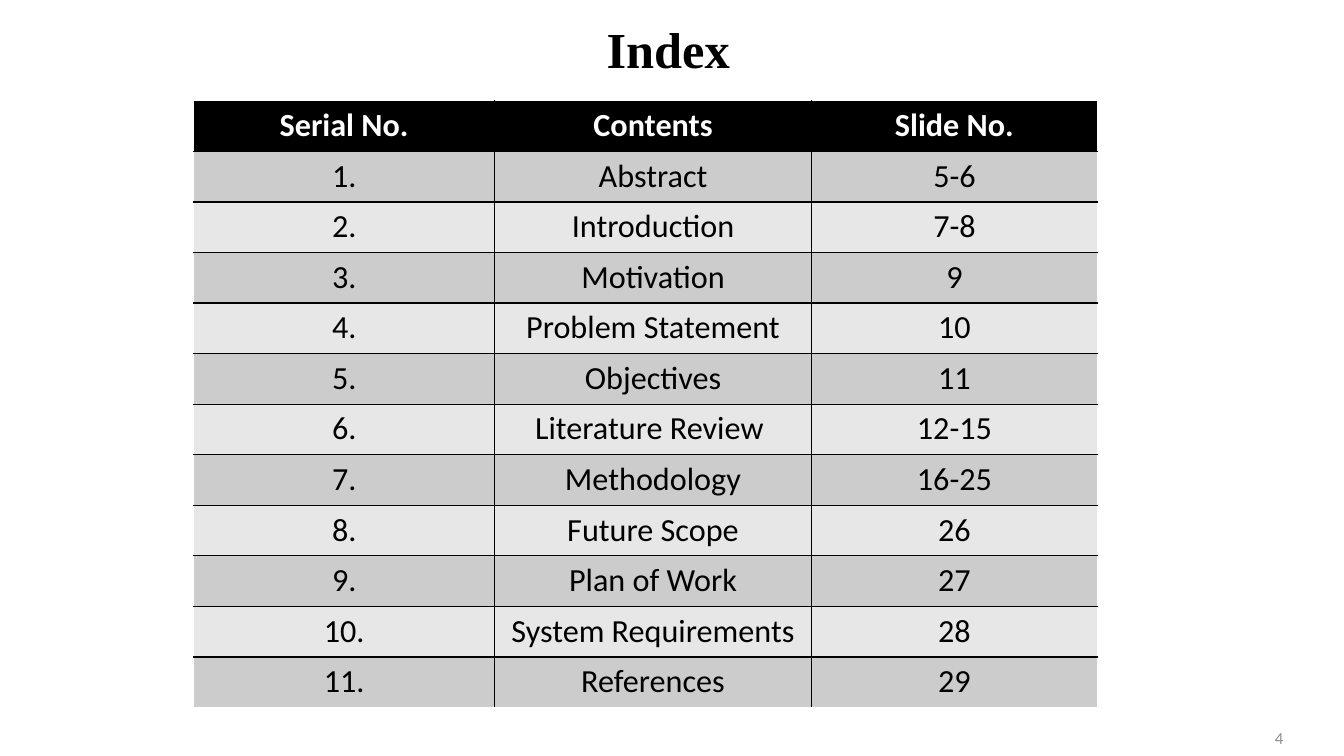
from dataclasses import dataclass

from lxml.etree import SubElement
from pptx import Presentation
from pptx.dml.color import RGBColor
from pptx.enum.text import MSO_ANCHOR, PP_ALIGN
from pptx.oxml.ns import qn
from pptx.util import Cm, Pt


@dataclass(frozen=True)
class Theme:
    black: str = "000000"
    white: str = "FFFFFF"
    grey: str = "8C8C8C"
    bands: tuple = ("CCCCCC", "E7E7E7")
    title_font: str = "Times New Roman"
    body_font: str = "Calibri"
    title_size: int = 36
    table_size: int = 23
    number_size: int = 12
    border: int = 1


THEME = Theme()
COLUMN_WIDTHS = (7.59, 7.98, 7.21)
HEADINGS = ("Serial No.", "Contents", "Slide No.")
ENTRIES = (
    ("Abstract", "5-6"),
    ("Introduction", "7-8"),
    ("Motivation", "9"),
    ("Problem Statement", "10"),
    ("Objectives", "11"),
    ("Literature Review ", "12-15"),
    ("Methodology", "16-25"),
    ("Future Scope", "26"),
    ("Plan of Work", "27"),
    ("System Requirements", "28"),
    ("References", "29"),
)


def write(frame, text, font, size, color, align, bold=False):
    para = frame.paragraphs[0]
    para.alignment = align
    span = para.add_run()
    span.text = text
    span.font.name = font
    span.font.size = Pt(size)
    span.font.bold = bold
    span.font.color.rgb = RGBColor.from_string(color)


def add_borders(cell, colors):
    properties = cell._tc.get_or_add_tcPr()
    for side, color in colors.items():
        line = SubElement(properties, qn(f"a:ln{side}"), w=str(Pt(THEME.border)))
        fill = SubElement(line, qn("a:solidFill"))
        SubElement(fill, qn("a:srgbClr"), val=color)


def add_title(page, left, top, width, height):
    title = page.shapes.title
    title.left, title.top, title.width, title.height = map(Cm, (left, top, width, height))
    title.text_frame.vertical_anchor = MSO_ANCHOR.MIDDLE
    write(title.text_frame, "Index", THEME.title_font, THEME.title_size,
          THEME.black, PP_ALIGN.CENTER, bold=True)


def add_index_table(page, left, top, width, height):
    rows = [HEADINGS] + [(f"{number}.", *entry) for number, entry in enumerate(ENTRIES, 1)]
    last_row, last_column = len(rows) - 1, len(HEADINGS) - 1
    table = page.shapes.add_table(len(rows), len(HEADINGS), Cm(left), Cm(top),
                                  Cm(width), Cm(height)).table
    for column, share in zip(table.columns, COLUMN_WIDTHS):
        column.width = Cm(width * share / sum(COLUMN_WIDTHS))
    for row_index, texts in enumerate(rows):
        table.rows[row_index].height = Cm(height / len(rows))
        heading = row_index == 0
        fill = THEME.black if heading else THEME.bands[(row_index - 1) % 2]
        for column_index, text in enumerate(texts):
            cell = table.cell(row_index, column_index)
            outer = {"L": column_index == 0, "R": column_index == last_column,
                     "T": heading, "B": row_index == last_row}
            add_borders(cell, {side: THEME.white if edge else THEME.black
                               for side, edge in outer.items()})
            cell.fill.solid()
            cell.fill.fore_color.rgb = RGBColor.from_string(fill)
            write(cell.text_frame, text, THEME.body_font, THEME.table_size,
                  THEME.white if heading else THEME.black, PP_ALIGN.CENTER, bold=heading)


def add_page_number(page, left, top, width, height):
    box = page.shapes.add_textbox(Cm(left), Cm(top), Cm(width), Cm(height))
    box.text_frame.word_wrap = True
    box.text_frame.vertical_anchor = MSO_ANCHOR.MIDDLE
    write(box.text_frame, "4", THEME.body_font, THEME.number_size,
          THEME.grey, PP_ALIGN.RIGHT)


def main():
    deck = Presentation()
    deck.slide_width, deck.slide_height = Cm(33.87), Cm(19.05)
    page = deck.slides.add_slide(deck.slide_layouts.get_by_name("Title Only"))
    add_page_number(page, 24.69, 18.08, 7.9, 1.02)
    add_title(page, 0, 0.3, 33.68, 1.85)
    add_index_table(page, 4.88, 2.54, sum(COLUMN_WIDTHS), 15.29)
    deck.save("out.pptx")


if __name__ == "__main__":
    main()
